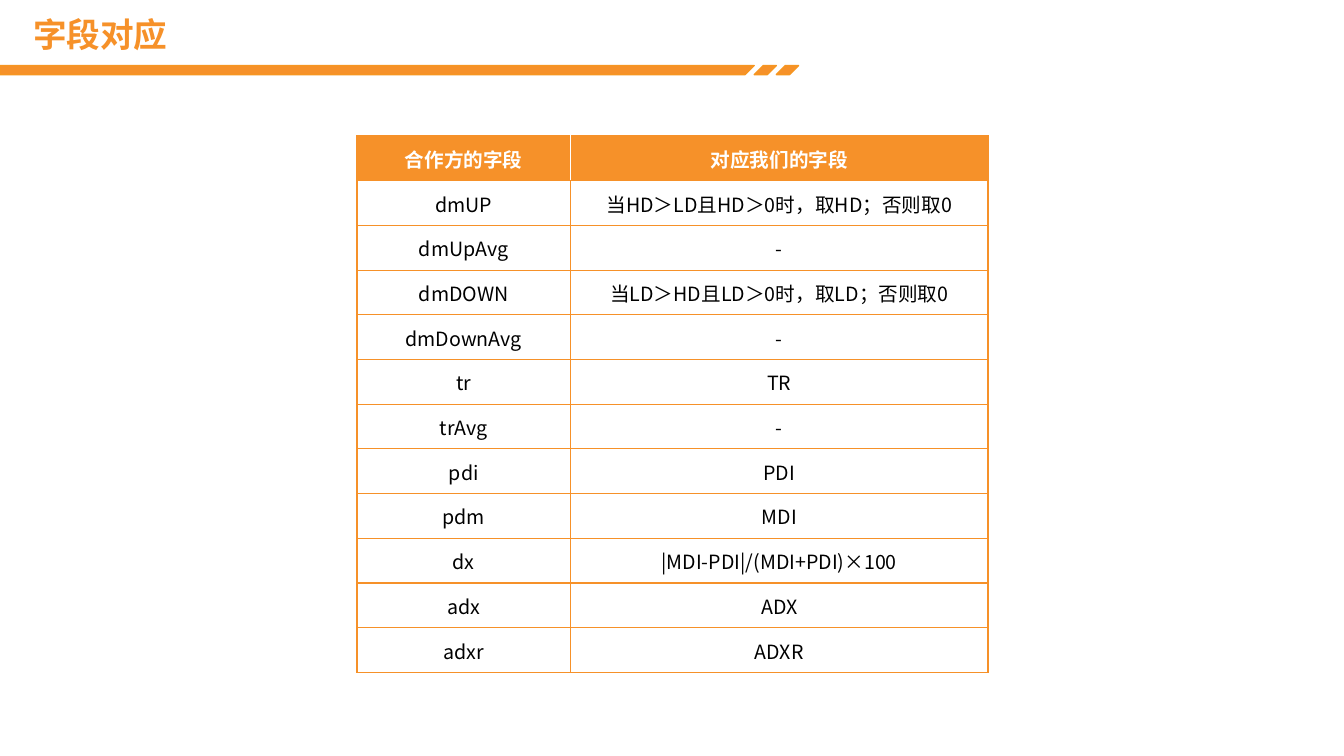
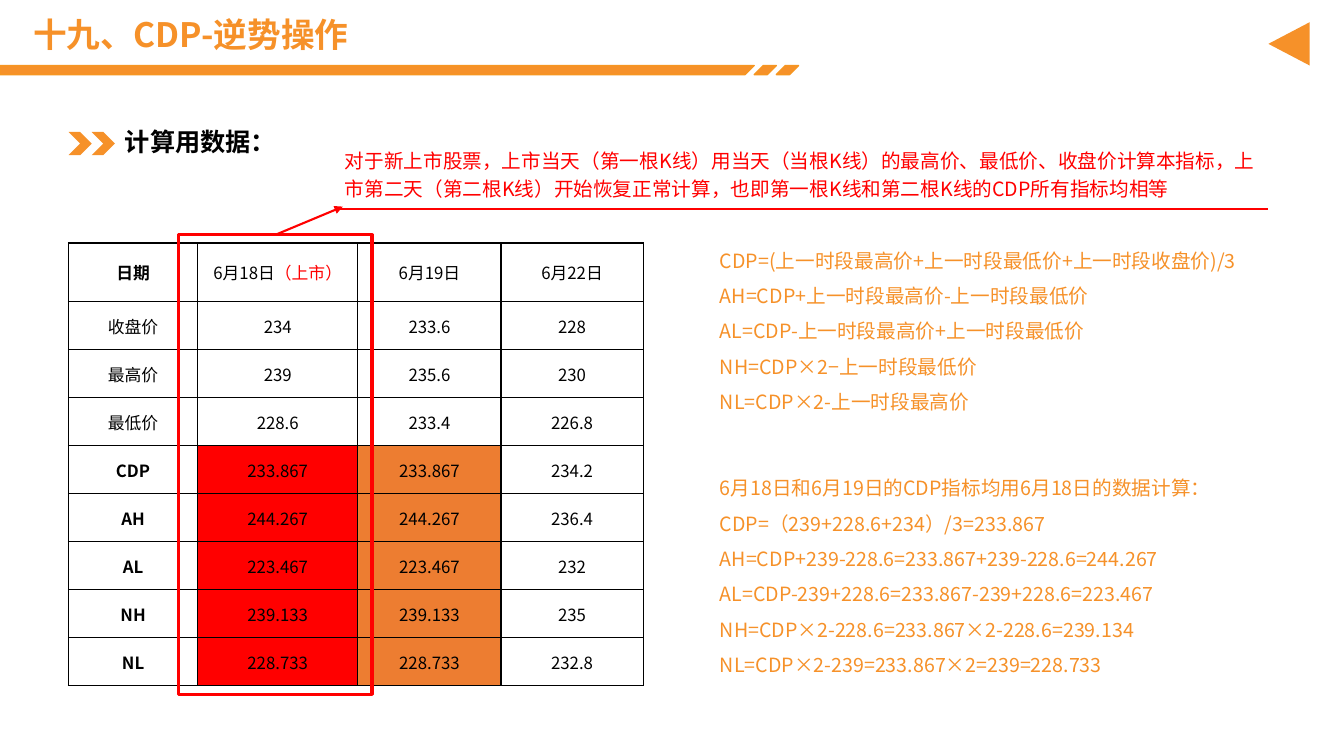
from lxml import etree
from pptx import Presentation
from pptx import util as u
from pptx.dml.color import RGBColor
from pptx.enum import shapes, text
from pptx.oxml.ns import qn

SCALE = 9144
FONT = "Noto Sans CJK SC"
ORANGE, RED, BLACK, WHITE = "F69129", "FF0000", "000000", "FFFFFF"
BAND_LINE, COPIED = "F69621", "ED7D31"

BAND_TOP, BAND_BOTTOM, BAND_SLANT = 65, 74, 9
BANDS = [
    [(0, BAND_TOP), (748, BAND_TOP), (748 - BAND_SLANT, BAND_BOTTOM), (0, BAND_BOTTOM)],
] + [
    [(left + BAND_SLANT, BAND_TOP), (left + 22, BAND_TOP),
     (left + 22 - BAND_SLANT, BAND_BOTTOM), (left, BAND_BOTTOM)]
    for left in (748, 770)
]

FIELDS = [
    ("合作方的字段", "对应我们的字段"),
    ("dmUP", "当HD＞LD且HD＞0时，取HD；否则取0"),
    ("dmUpAvg", "-"),
    ("dmDOWN", "当LD＞HD且LD＞0时，取LD；否则取0"),
    ("dmDownAvg", "-"),
    ("tr", "TR"),
    ("trAvg", "-"),
    ("pdi", "PDI"),
    ("pdm", "MDI"),
    ("dx", "|MDI-PDI|/(MDI+PDI)×100"),
    ("adx", "ADX"),
    ("adxr", "ADXR"),
]
PRICES = [
    ("日期", "6月18日", "6月19日", "6月22日"),
    ("收盘价", "234", "233.6", "228"),
    ("最高价", "239", "235.6", "230"),
    ("最低价", "228.6", "233.4", "226.8"),
    ("CDP", "233.867", "233.867", "234.2"),
    ("AH", "244.267", "244.267", "236.4"),
    ("AL", "223.467", "223.467", "232"),
    ("NH", "239.133", "239.133", "235"),
    ("NL", "228.733", "228.733", "232.8"),
]
LISTING_MARK = "（上市）"
FIRST_INDICATOR = 4
INDICATOR_FILLS = {1: RED, 2: COPIED}
NOTE = ("对于新上市股票，上市当天（第一根K线）用当天（当根K线）的最高价、最低价、收盘价计算本指标，"
        "上市第二天（第二根K线）开始恢复正常计算，也即第一根K线和第二根K线的CDP所有指标均相等")
FORMULAS = [
    "CDP=(上一时段最高价+上一时段最低价+上一时段收盘价)/3",
    "AH=CDP+上一时段最高价-上一时段最低价",
    "AL=CDP-上一时段最高价+上一时段最低价",
    "NH=CDP×2−上一时段最低价",
    "NL=CDP×2-上一时段最高价",
]
WORKED_EXAMPLE = [
    "6月18日和6月19日的CDP指标均用6月18日的数据计算：",
    "CDP=（239+228.6+234）/3=233.867",
    "AH=CDP+239-228.6=233.867+239-228.6=244.267",
    "AL=CDP-239+228.6=233.867-239+228.6=223.467",
    "NH=CDP×2-228.6=233.867×2-228.6=239.134",
    "NL=CDP×2-239=233.867×2=239=228.733",
]


def px(*lengths):
    return [u.Emu(round(length * SCALE)) for length in lengths]


def color(value):
    return RGBColor.from_string(value)


def set_all(target, values):
    for name, value in values.items():
        setattr(target, name, value)


def add_run(paragraph, content, size, ink, bold=False):
    run = paragraph.add_run()
    run.text = content
    set_all(run.font, {"size": u.Pt(size), "name": FONT, "bold": bold})
    run.font.color.rgb = color(ink)
    etree.SubElement(run.font._element, qn("a:ea"), typeface=FONT)


def add_text(slide, box, lines, size, ink, bold=False, spacing=1,
             insets=(0, 0, 0, 0), anchor=text.MSO_ANCHOR.TOP):
    frame = slide.shapes.add_textbox(*px(*box)).text_frame
    set_all(frame, {"word_wrap": True, "vertical_anchor": anchor})
    set_all(frame, dict(zip(("margin_left", "margin_top", "margin_right", "margin_bottom"), px(*insets))))
    for index, line in enumerate(lines):
        paragraph = frame.add_paragraph() if index else frame.paragraphs[0]
        paragraph.line_spacing = spacing
        add_run(paragraph, line, size, ink, bold)


def paint(shape, fill=None, line=None, width=1):
    shape.shadow.inherit = False
    if fill:
        shape.fill.solid()
        shape.fill.fore_color.rgb = color(fill)
    else:
        shape.fill.background()
    if line:
        shape.line.color.rgb = color(line)
        shape.line.width = u.Pt(width)
    else:
        shape.line.fill.background()


def add_preset(slide, kind, box, **look):
    shape = slide.shapes.add_shape(kind, *px(*box))
    paint(shape, **look)
    return shape


def add_line(slide, start, end):
    line = slide.shapes.add_connector(shapes.MSO_CONNECTOR.STRAIGHT, *px(*start, *end))
    line.line.color.rgb = color(RED)
    line.line.width = u.Pt(1.5)
    etree.SubElement(line._element.spPr, qn("a:effectLst"))
    return line


def add_titled_slide(presentation, title):
    slide = presentation.slides.add_slide(presentation.slide_layouts[6])
    for points in BANDS:
        builder = slide.shapes.build_freeform(*points[0], scale=SCALE)
        builder.add_line_segments(points[1:], close=True)
        paint(builder.convert_to_shape(), ORANGE, BAND_LINE)
    add_text(slide, (23, 15, 1219, 43), [title], 24, ORANGE, True, 0.9,
             (10, 5, 10, 5), text.MSO_ANCHOR.MIDDLE)
    return slide


def set_borders(cell, borders):
    properties = cell._tc.get_or_add_tcPr()
    for side, ink in borders.items():
        line = etree.SubElement(properties, qn(f"a:ln{side}"), w=str(u.Pt(1)))
        fill = etree.SubElement(line, qn("a:solidFill"))
        etree.SubElement(fill, qn("a:srgbClr"), val=ink)


def add_grid(slide, left, top, widths, heights, rows, size, border, style):
    box = px(left, top, sum(widths), sum(heights))
    table = slide.shapes.add_table(len(rows), len(widths), *box).table
    set_all(table, {"first_row": False, "horz_banding": False})
    for column, width in zip(table.columns, px(*widths)):
        column.width = width
    for row, height in zip(table.rows, px(*heights)):
        row.height = height
    for r, values in enumerate(rows):
        for c, value in enumerate(values):
            cell = table.cell(r, c)
            look = {"ink": BLACK, "bold": False, "fill": None, "borders": {}, **style(r, c)}
            set_borders(cell, {**dict.fromkeys("LRTB", border), **look["borders"]})
            inset, = px(1)
            set_all(cell, {"margin_left": inset, "margin_top": inset, "margin_right": inset,
                           "margin_bottom": 0, "vertical_anchor": text.MSO_ANCHOR.MIDDLE})
            if look["fill"]:
                cell.fill.solid()
                cell.fill.fore_color.rgb = color(look["fill"])
            else:
                cell.fill.background()
            paragraph = cell.text_frame.paragraphs[0]
            paragraph.alignment = text.PP_ALIGN.CENTER
            add_run(paragraph, value, size, look["ink"], look["bold"])
    return table


def field_style(row, column):
    if row:
        return {}
    return {"ink": WHITE, "bold": True, "fill": ORANGE, "borders": {"RL"[column]: WHITE}}


def price_style(row, column):
    indicator = row >= FIRST_INDICATOR
    return {"bold": column == 0 and (row == 0 or indicator),
            "fill": INDICATOR_FILLS.get(column) if indicator else None}


def build_fields(presentation):
    slide = add_titled_slide(presentation, "字段对应")
    heights = [532 / len(FIELDS)] * len(FIELDS)
    add_grid(slide, 354, 135, (212, 414), heights, FIELDS, 14, ORANGE, field_style)


def build_cdp(presentation):
    slide = add_titled_slide(presentation, "十九、CDP-逆势操作")
    body_rows = len(PRICES) - 1
    heights = [58] + [(439 - 58) / body_rows] * body_rows
    table = add_grid(slide, 68, 241, (128, 159, 142, 141), heights, PRICES, 12, BLACK, price_style)
    add_run(table.cell(0, 1).text_frame.paragraphs[0], LISTING_MARK, 12, RED)

    for index in range(2):
        add_preset(slide, shapes.MSO_SHAPE.CHEVRON, (68 + 23 * index, 131, 23, 23), fill=ORANGE)
    add_text(slide, (114, 125, 912, 34), ["计算用数据："], 18, BLACK, True,
             insets=(10, 5, 10, 8), anchor=text.MSO_ANCHOR.MIDDLE)
    add_text(slide, (714, 235, 543, 171), FORMULAS, 14, ORANGE, spacing=1.5)
    highlight = add_preset(slide, shapes.MSO_SHAPE.RECTANGLE, (177, 233, 192, 456), line=RED, width=2.25)
    back = add_preset(slide, shapes.MSO_SHAPE.ISOSCELES_TRIANGLE, (1257, 23, 43, 41), fill=ORANGE)
    back.rotation = 270

    add_text(slide, (342, 143, 912, 55), [NOTE], 14, RED, spacing=1.2)
    arrow = add_line(slide, (273, 233), (340, 205))
    arrow.begin_connect(highlight, 0)
    etree.SubElement(arrow.line._get_or_add_ln(), qn("a:tailEnd"), type="triangle")
    add_line(slide, (333, 207), (1258, 207))
    add_text(slide, (714, 461, 543, 207), WORKED_EXAMPLE, 14, ORANGE, spacing=1.5)


def main():
    presentation = Presentation()
    width, height = px(1333, 750)
    set_all(presentation, {"slide_width": width, "slide_height": height})
    build_fields(presentation)
    build_cdp(presentation)
    presentation.save("out.pptx")


if __name__ == "__main__":
    main()
